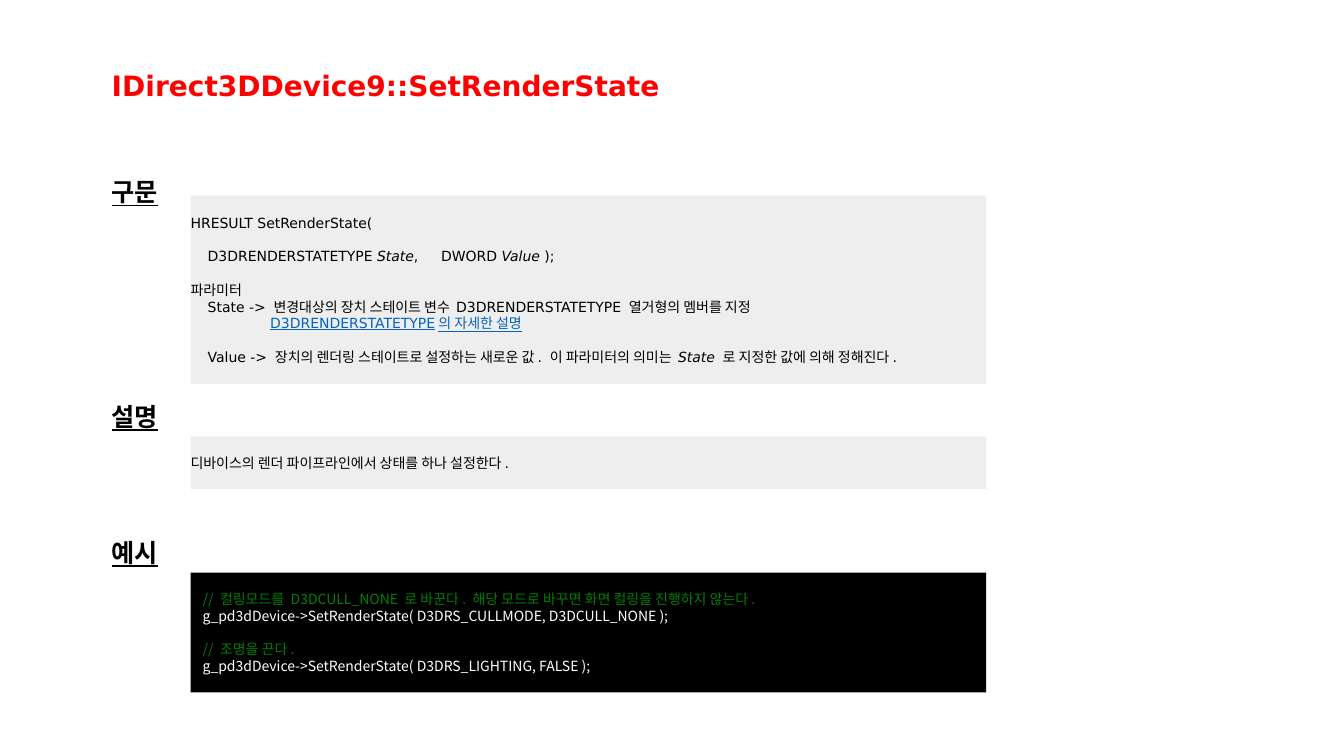
from lxml import etree
from pptx import Presentation
from pptx.dml.color import RGBColor
from pptx.enum.shapes import MSO_SHAPE
from pptx.enum.text import MSO_ANCHOR, PP_ALIGN
from pptx.oxml.ns import qn
from pptx.util import Inches, Pt

COLORS = {"title": "FF0000", "text": "000000", "panel": "EEEEEE", "code": "000000",
          "code_text": "FFFFFF", "comment": "008000", "link": "0563C1"}
LATIN, KOREAN = "DejaVu Sans", "Noto Sans CJK KR"
LINE = 12  # body line pitch in points
HEAD_X, PANEL_X, PANEL_W = 1.01, 1.89, 7.89

TITLE = "IDirect3DDevice9::SetRenderState"

# Paragraph: (indent in inches, blank lines before, [(text, style), ...])
SYNTAX = [
    (0, 0, [("HRESULT SetRenderState(", "")]),
    (0.17, 1, [("D3DRENDERSTATETYPE ", ""), ("State", "italic"),
               (", \u2003 DWORD ", ""), ("Value", "italic"), (" );", "")]),
    (0, 1, [("파라미터", "")]),
    (0.17, 0, [("State -> 변경대상의 장치 스테이트 변수 D3DRENDERSTATETYPE 열거형의 멤버를 지정", "")]),
    (0.79, 0, [("D3DRENDERSTATETYPE의 자세한 설명", "link")]),
    (0.17, 1, [("Value -> 장치의 렌더링 스테이트로 설정하는 새로운 값. 이 파라미터의 의미는\u00a0", ""),
               ("State", "italic"), ("\u00a0로 지정한 값에 의해 정해진다.", "")]),
]
DESCRIPTION = [(0, 0, [("디바이스의 렌더 파이프라인에서 상태를 하나 설정한다.", "")])]
EXAMPLE = [
    (0.12, 0, [("// 컬링모드를 D3DCULL_NONE 로 바꾼다. 해당 모드로 바꾸면 화면 컬링을 진행하지 않는다.", "comment")]),
    (0.12, 0, [("g_pd3dDevice->SetRenderState( D3DRS_CULLMODE, D3DCULL_NONE );", "")]),
    (0.12, 1, [("// 조명을 끈다.", "comment")]),
    (0.12, 0, [("g_pd3dDevice->SetRenderState( D3DRS_LIGHTING, FALSE );", "")]),
]
# heading, heading top, panel top, panel height, fill, text colour, font, paragraphs
SECTIONS = [
    ("구문", 1.7, 1.94, 1.87, "panel", "text", LATIN, SYNTAX),
    ("설명", 3.93, 4.33, 0.52, "panel", "text", LATIN, DESCRIPTION),
    ("예시", 5.28, 5.68, 1.19, "code", "code_text", KOREAN, EXAMPLE),
]

prs = Presentation()
prs.slide_width, prs.slide_height = Inches(13.33), Inches(7.5)
slide = prs.slides.add_slide(prs.slide_layouts[6])


def rgb(name):
    return RGBColor.from_string(COLORS[name])


def add_run(p, text, latin):
    r = p.add_run()
    r.text = text
    r.font.name = latin
    etree.SubElement(r.font._element, qn("a:ea")).set("typeface", KOREAN)
    return r


def add_heading(text, y, w, h, size, color, latin, underline):
    tf = slide.shapes.add_textbox(Inches(HEAD_X), Inches(y), Inches(w), Inches(h)).text_frame
    tf.word_wrap = False
    p = tf.paragraphs[0]
    p.font.size, p.font.bold, p.font.underline = Pt(size), True, underline
    p.font.color.rgb = rgb(color)
    add_run(p, text, latin)


def add_panel(y, h, fill, color, latin, paragraphs):
    sp = slide.shapes.add_shape(MSO_SHAPE.RECTANGLE, Inches(PANEL_X), Inches(y),
                                Inches(PANEL_W), Inches(h))
    sp.shadow.inherit = False
    sp.fill.solid()
    sp.fill.fore_color.rgb = rgb(fill)
    sp.line.fill.background()
    tf = sp.text_frame
    tf.word_wrap, tf.vertical_anchor = True, MSO_ANCHOR.MIDDLE
    tf.margin_left, tf.margin_right = 0, Inches(0.1)
    tf.margin_top = tf.margin_bottom = Inches(0.17)
    for i, (indent, gap, runs) in enumerate(paragraphs):
        p = tf.add_paragraph() if i else tf.paragraphs[0]
        p.alignment, p.line_spacing = PP_ALIGN.LEFT, Pt(LINE)
        p.space_before = Pt(gap * LINE)
        p.font.size = Pt(10)
        p._p.get_or_add_pPr().set("marL", str(Inches(indent)))
        for text, style in runs:
            r = add_run(p, text, latin)
            r.font.color.rgb = rgb(style if style in COLORS else color)
            if style == "italic":
                r.font.italic = True
            if style == "link":
                r.font.underline = True


# Title
add_heading(TITLE, 0.63, 5.68, 0.44, 20, "title", LATIN, False)

# Sections: heading with its panel
for heading, head_y, y, h, fill, color, latin, paragraphs in SECTIONS:
    add_panel(y, h, fill, color, latin, paragraphs)
    add_heading(heading, head_y, 0.71, 0.4, 18, "text", KOREAN, True)

prs.save("out.pptx")
